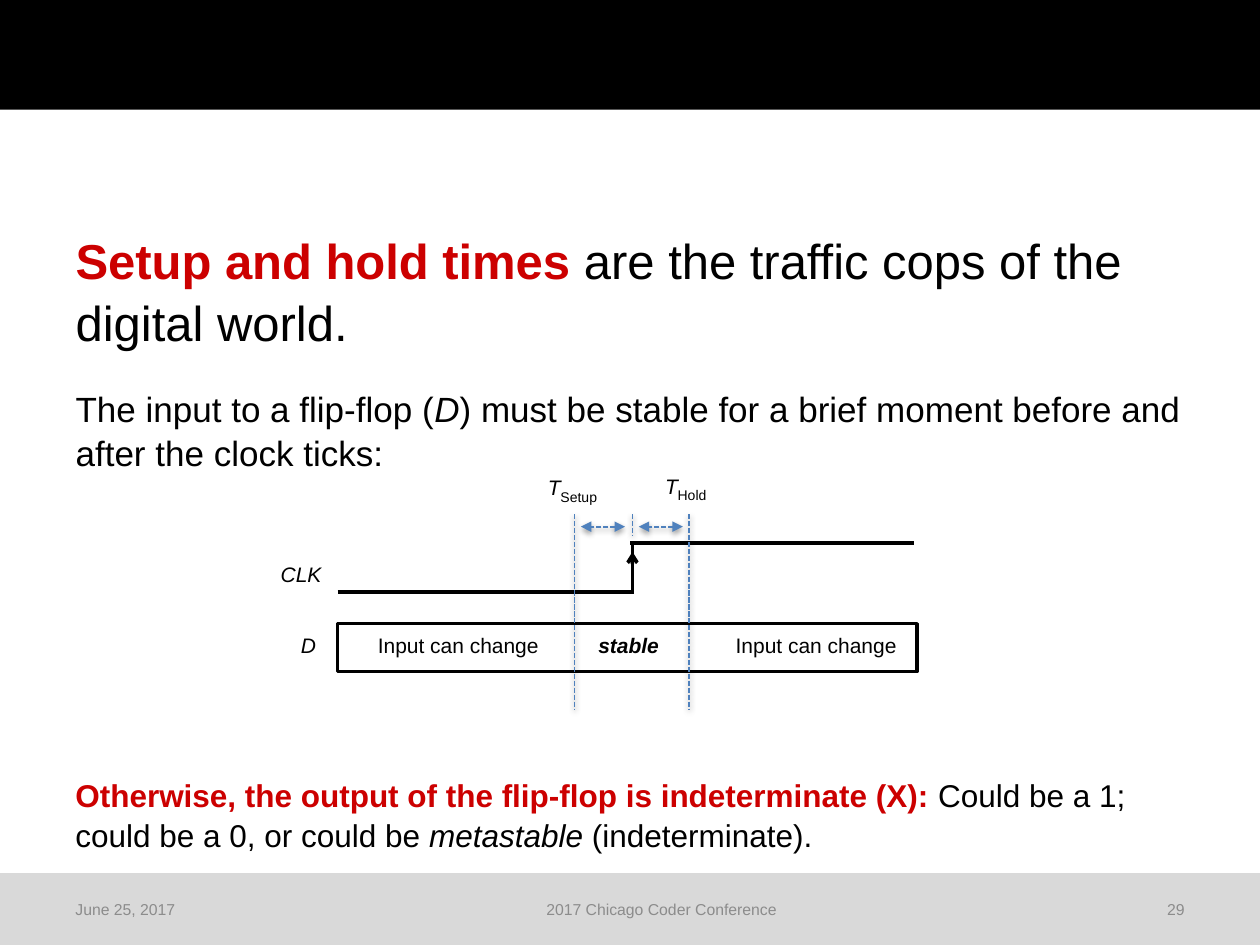
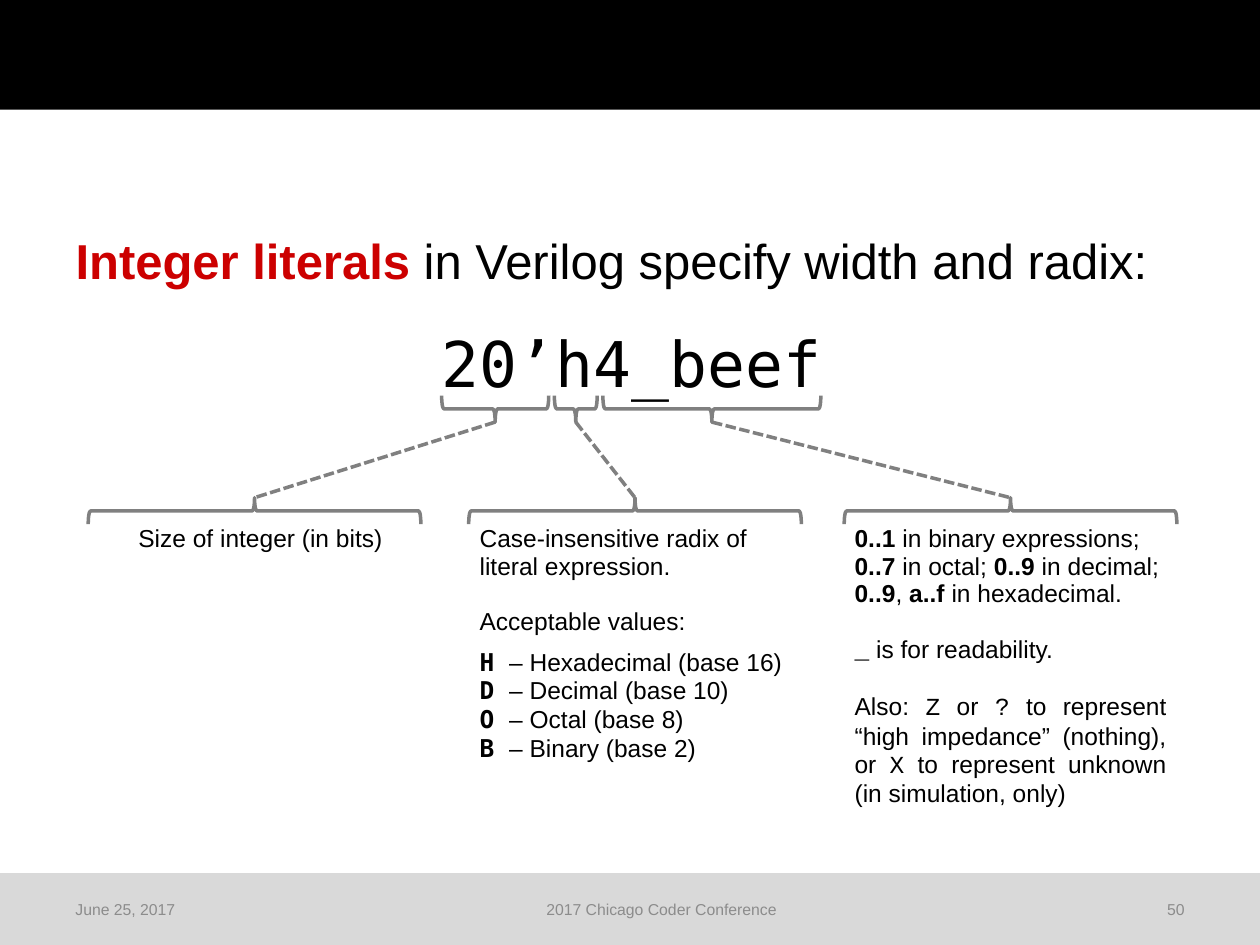
import pptx
import pptx.util
import pptx.oxml
import pptx.oxml.ns
import pptx.dml.color
import pptx.enum.dml
import pptx.enum.shapes
import pptx.enum.text

qn = pptx.oxml.ns.qn
SHAPE = pptx.enum.shapes.MSO_SHAPE
ALIGN = pptx.enum.text.PP_ALIGN
ANCHOR = pptx.enum.text.MSO_ANCHOR

PX = 9144  # 100 px to the inch
COLORS = {"text": "000000", "red": "CC0000", "footer": "8C8C8C", "band": "D9D9D9",
          "header": "000000", "paper": "FFFFFF", "blue": "4F81BD", "brace": "808080"}
NS = 'xmlns:a="http://schemas.openxmlformats.org/drawingml/2006/main"'
SHADOW = (f'<a:effectLst {NS}><a:outerShdw blurRad="40000" dist="20000" dir="5400000" '
          'rotWithShape="0"><a:srgbClr val="000000"><a:alpha val="38000"/></a:srgbClr>'
          '</a:outerShdw></a:effectLst>')


def rgb(name):
    return pptx.dml.color.RGBColor.from_string(COLORS[name])


class Deck:
    """Style of the talk and the slide being built."""

    def __init__(self):
        self.prs = pptx.Presentation()
        self.prs.slide_width, self.prs.slide_height = 1000 * PX, 750 * PX
        self.s = None

    def slide(self, number):
        self.s = self.prs.slides.add_slide(self.prs.slide_layouts[1])
        title = self.s.shapes.title.element
        title.getparent().remove(title)
        self.rect(0, 693, 1000, 57, fill="band")
        self.rect(0, 0, 1000, 87, fill="header")
        for x, w, text, align in ((50, 122, "June 25, 2017", ALIGN.LEFT),
                                  (172, 706, "2017 Chicago Coder Conference", ALIGN.CENTER),
                                  (878, 72, str(number), ALIGN.RIGHT)):
            self.text(x, 702, w, 40, [(text, "")], 9, color="footer", align=align, wrap=True)

    def runs(self, p, parts, size, color="text"):
        """Flags: b bold, i italic, r red, m code font, c typewriter font."""
        for text, flags in parts:
            r = p.add_run()
            r.text = text
            r.font.size = pptx.util.Pt(size)
            r.font.bold, r.font.italic = "b" in flags, "i" in flags
            r.font.name = ("DejaVu Sans Mono" if "m" in flags
                           else "Courier New" if "c" in flags else "Arial")
            r.font.color.rgb = rgb("red" if "r" in flags else color)

    def paragraphs(self, tf, items):
        """Each item is (runs, size, space before, alignment, line spacing)."""
        for i, (parts, size, before, align, spacing) in enumerate(items):
            p = tf.paragraphs[0] if i == 0 else tf.add_paragraph()
            p.alignment, p.line_spacing = align, spacing
            p.space_before = pptx.util.Pt(before)
            self.runs(p, parts, size)

    def body(self, *items):
        sp = self.s.placeholders[1]
        sp.left, sp.top, sp.width, sp.height = (v * PX for v in (50, 175, 900, 495))
        tf = sp.text_frame
        tf.auto_size = pptx.enum.text.MSO_AUTO_SIZE.NONE
        self.paragraphs(tf, [(*item, ALIGN.LEFT, 1.06) for item in items])
        for p in tf.paragraphs:
            pPr = p._p.get_or_add_pPr()
            pPr.set("marL", "0")
            pPr.set("indent", "0")
            pPr.append(pptx.oxml.parse_xml(f"<a:buNone {NS}/>"))

    def text(self, x, y, w, h, parts, size, color="text", align=ALIGN.LEFT,
             wrap=False, anchor=ANCHOR.MIDDLE, spacing=1.0):
        tf = self.s.shapes.add_textbox(x * PX, y * PX, w * PX, h * PX).text_frame
        tf.word_wrap, tf.vertical_anchor = wrap, anchor
        p = tf.paragraphs[0]
        p.alignment, p.line_spacing = align, spacing
        self.runs(p, parts, size, color)

    def rect(self, x, y, w, h, fill, line=None):
        sp = self.s.shapes.add_shape(SHAPE.RECTANGLE, x * PX, y * PX, w * PX, h * PX)
        sp.shadow.inherit = False
        sp.fill.solid()
        sp.fill.fore_color.rgb = rgb(fill)
        if line:
            sp.line.color.rgb = rgb(line)
            sp.line.width = pptx.util.Pt(2)
        else:
            sp.line.fill.background()

    def brace(self, center, y, span, rotation):
        depth = 21
        sp = self.s.shapes.add_shape(
            SHAPE.LEFT_BRACE, round((center - depth / 2) * PX),
            round((y + depth / 2 - span / 2) * PX), depth * PX, span * PX)
        sp.rotation = rotation
        sp.shadow.inherit = False
        sp.fill.background()
        sp.line.color.rgb = rgb("brace")
        sp.line.width = pptx.util.Pt(2)

    def line(self, x1, y1, x2, y2, color="text", width=2, dash=False,
             head=None, tail=None, shadow=False):
        c = self.s.shapes.add_connector(pptx.enum.shapes.MSO_CONNECTOR.STRAIGHT,
                                        x1 * PX, y1 * PX, x2 * PX, y2 * PX)
        c.line.color.rgb = rgb(color)
        c.line.width = pptx.util.Pt(width)
        if dash:
            c.line.dash_style = pptx.enum.dml.MSO_LINE.SQUARE_DOT
        spPr = c.element.spPr
        for tag, kind in (("headEnd", head), ("tailEnd", tail)):
            if kind:
                end = pptx.oxml.parse_xml(f'<a:{tag} {NS} type="{kind}"/>')
                spPr.find(qn("a:ln")).append(end)
        spPr.append(pptx.oxml.parse_xml(SHADOW if shadow else f"<a:effectLst {NS}/>"))

    def guide(self, x1, y1, x2, y2, arrow=None):
        self.line(x1, y1, x2, y2, "blue", 1, True, arrow, arrow, shadow=True)

    def table(self, x, y, w, h, columns):
        table = self.s.shapes.add_table(1, len(columns), x * PX, y * PX, w * PX, h * PX).table
        table.first_row = table.horz_banding = False
        for cell, items in zip(table.rows[0].cells, columns):
            cell.fill.background()
            cell.margin_left = 50 * PX
            cell.margin_right = cell.margin_top = cell.margin_bottom = 0
            self.paragraphs(cell.text_frame, [(parts, 14, before, align, 1.0)
                                              for parts, before, align in items])


def setup_and_hold(d):
    d.slide(29)
    d.body(([("Setup and hold times ", "br"),
             ("are the traffic cops of the digital world.", "")], 28, 0),
           ([("The input to a flip-flop (", ""), ("D", "i"),
             (") must be stable for a brief moment before and after the clock ticks:", "")],
            20, 19))

    # Clock edge and data signal
    low, high, setup, tick, hold = 470, 431, 456, 502, 547
    d.line(268, low, tick + 1, low)
    d.line(tick, 457, tick, 438, tail="arrow")
    d.line(tick - 2, high, 725, high)
    d.rect(268, 495, 460, 38, fill="paper", line="text")
    for x in (setup, hold):
        d.guide(x, 408, x, 563)
    d.line(tick, low, tick, high)

    # Time spans
    d.guide(tick, 408, tick, 425)
    for x in (setup, tick):
        d.guide(x + 40, 418, x + 5, 418, arrow="triangle")

    # Labels
    for x, y, w, h, text, flags, size in (
            (574, 497, 149, 30, "Input can change", "", 12),
            (290, 497, 149, 30, "Input can change", "", 12),
            (465, 497, 73, 30, "stable", "bi", 12),
            (425, 372, 35, 30, "T", "i", 12),
            (435, 382, 50, 24, "Setup", "", 8),
            (518, 371, 35, 30, "T", "i", 12),
            (528, 381, 43, 24, "Hold", "", 8),
            (213, 441, 57, 30, "CLK", "i", 12),
            (229, 497, 37, 30, "D", "i", 12)):
        d.text(x, y, w, h, [(text, flags)], size)

    d.text(50, 609, 900, 71,
           [("Otherwise, the output of the flip-flop is indeterminate (X): ", "br"),
            ("Could be a 1; could be a 0, or could be ", ""), ("metastable ", "i"),
            ("(indeterminate).", "")],
           18, wrap=True, anchor=ANCHOR.TOP, spacing=1.06)


def integer_literals(d):
    d.slide(50)
    d.body(([("Integer literals ", "br"), ("in Verilog specify width and radix:", "")], 28, 0))

    # Meaning of each part
    left, just = ALIGN.LEFT, ALIGN.JUSTIFY
    bases = (("H", "Hexadecimal (base 16)"), ("D", "Decimal (base 10)"),
             ("O", "Octal (base 8)"), ("B", "Binary (base 2)"))
    size = [([("Size of integer (in bits)", "")], 0, ALIGN.CENTER)]
    radix = [([("Case-insensitive radix of literal expression.", "")], 0, left),
             ([("Acceptable values:", "")], 16, left)]
    radix += [([(key + " ", "bm"), ("– " + name, "")], 0 if i else 7, left)
              for i, (key, name) in enumerate(bases)]
    digits = [([("0..1", "b"), (" in binary expressions; ", ""), ("0..7", "b"),
                (" in octal; ", ""), ("0..9", "b"), (" in decimal; ", ""), ("0..9", "b"),
                (", ", ""), ("a..f", "b"), (" in hexadecimal.", "")], 0, left),
              ([("_", "c"), (" is for readability.", "")], 16, just),
              ([("Also: ", ""), ("Z", "c"), (" or ", ""), ("?", "c"),
                (" to represent “high impedance” (nothing), or ", ""), ("X", "c"),
                (" to represent unknown (in simulation, only)", "")], 16, just)]
    d.table(33, 417, 893, 233, [size, radix, digits])

    # Literal, with each part tied to its column
    d.text(341, 253, 323, 71, [("20’h4_beef", "m")], 36, anchor=ANCHOR.TOP)
    for part, span, column in ((393, 85, 202), (457, 34, 504), (565, 173, 802)):
        d.brace(part, 314, span, 270)
        d.brace(column, 395, 264, 90)
        d.line(part, 335, column, 395, "brace", dash=True)


def main():
    d = Deck()
    setup_and_hold(d)
    integer_literals(d)
    d.prs.save("out.pptx")


if __name__ == "__main__":
    main()
